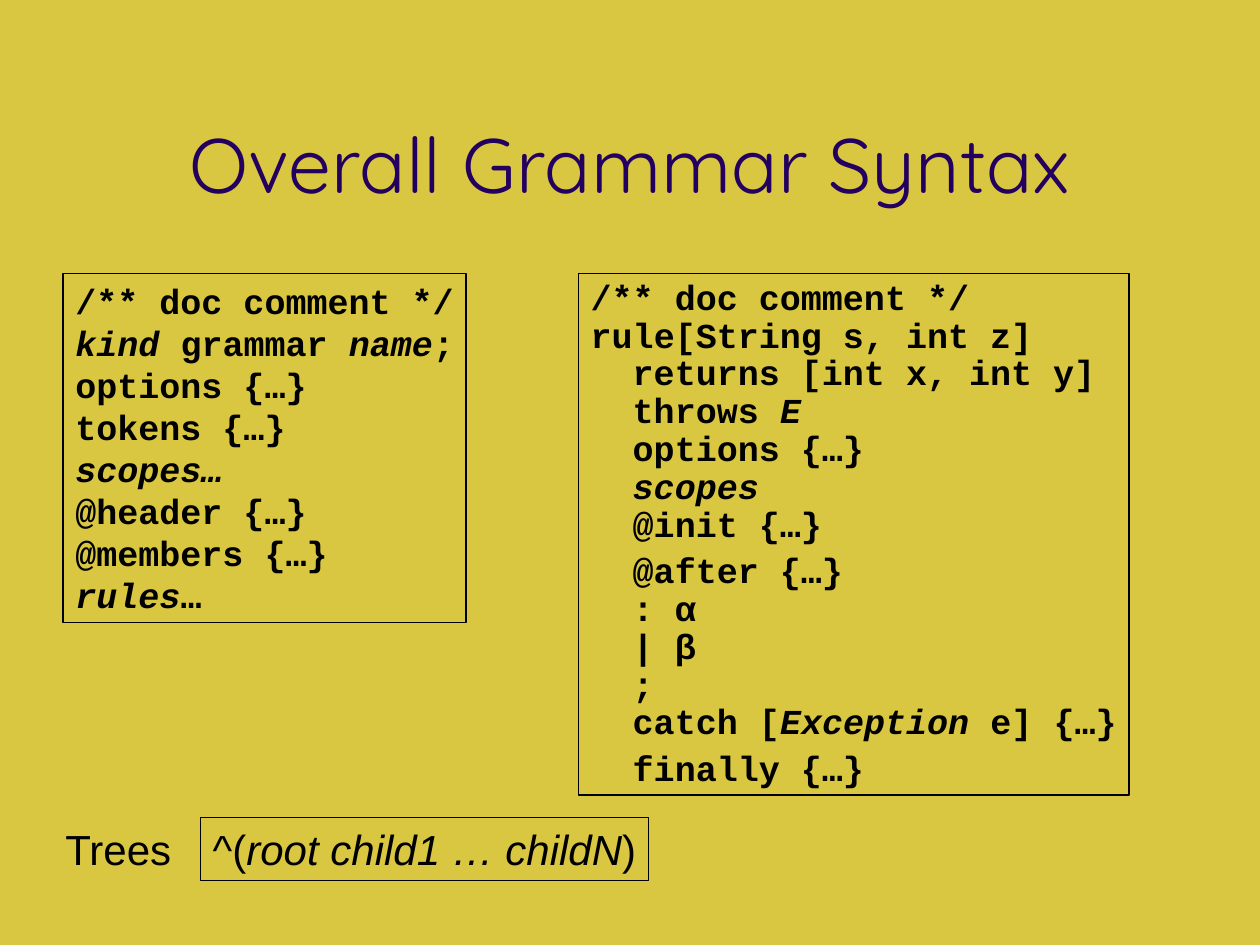
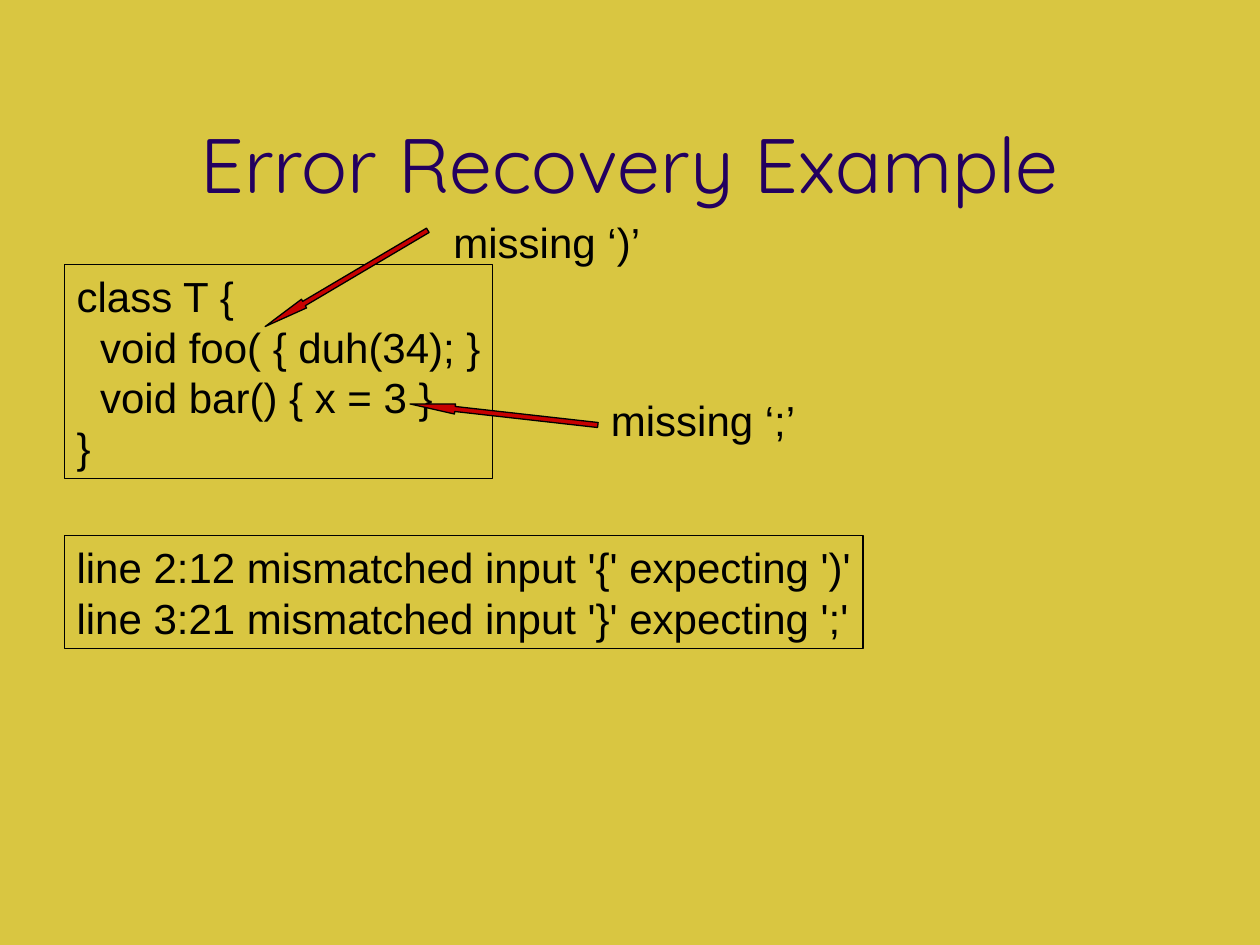
"""Build two slides on grammar syntax and error recovery."""
from dataclasses import dataclass
from itertools import groupby

from pptx import Presentation
from pptx.dml.color import RGBColor
from pptx.enum.shapes import MSO_SHAPE
from pptx.enum.text import MSO_ANCHOR, MSO_AUTO_SIZE, PP_ALIGN
from pptx.util import Inches, Pt


@dataclass(frozen=True)
class Theme:
    background: RGBColor = RGBColor.from_string("D9C641")
    title: RGBColor = RGBColor.from_string("23005F")
    ink: RGBColor = RGBColor.from_string("000000")
    arrow: RGBColor = RGBColor.from_string("C70000")
    title_font: str = "Quicksand"
    body_font: str = "Arial"
    code_font: str = "Courier New"
    title_size: int = 44
    body_size: int = 24
    code_size: int = 20
    line_height: float = 1.2
    line_width: float = 0.75


THEME = Theme()
GREEK = "αβ"
ITALIC_MARK = "_"
BODY = {"name": THEME.body_font, "size": THEME.body_size, "bold": False, "space_width": 0.28}
CODE = {"name": THEME.code_font, "size": THEME.code_size, "bold": True, "space_width": 0.6}

GRAMMAR = ["/** doc comment */", "_kind_ grammar _name_;", "options {…}", "tokens {…}",
           "_scopes…_", "@header {…}", "@members {…}", "_rules_…"]
RULE = ["/** doc comment */", "rule[String s, int z]", "  returns [int x, int y]",
        "  throws _E_", "  options {…}", "  _scopes_", "  @init {…}", "  @after {…}",
        "  : α", "  | β", "  ;", "  catch [_Exception_ e] {…}", "  finally {…}"]
PROGRAM = ["class T {", "  void foo( { duh(34); }", "  void bar() { x = 3 }", "}"]
ERRORS = ["line 2:12 mismatched input '{' expecting ')'",
          "line 3:21 mismatched input '}' expecting ';'"]

SLIDES = [
    {"title": "Overall Grammar Syntax",
     "texts": [
         {"lines": GRAMMAR, "at": (0.5, 2.17, 3.2, 2.77), "style": CODE, "framed": True},
         {"lines": RULE, "at": (4.59, 2.17, 4.37, 4.14), "style": CODE, "framed": True,
          "tightness": 0.9, "gaps": {7: 5, 12: 5}},
         {"lines": ["^(_root child1 … childN_)"], "at": (1.59, 6.49, 3.56, 0.5), "framed": True},
         {"lines": ["Trees"], "at": (0.42, 6.49, 1.05, 0.5)}],
     "arrows": []},
    {"title": "Error Recovery Example",
     "texts": [
         {"lines": PROGRAM, "at": (0.51, 2.1, 3.4, 1.7), "framed": True},
         {"lines": ERRORS, "at": (0.51, 4.25, 6.34, 0.9), "framed": True},
         {"lines": ["missing ‘)’"], "at": (3.5, 1.67, 1.68, 0.5)},
         {"lines": ["missing ‘;’"], "at": (4.75, 3.08, 1.66, 0.5)}],
     "arrows": [{"at": (2, 2.17, 1.5, 0.08), "rotation": 329.4},
                {"at": (3.25, 3.25, 1.5, 0.08), "rotation": 6.4}]},
]


def apply_format(target, values):
    for name, value in values.items():
        setattr(target, name, value)


def inches(at):
    return [Inches(length) for length in at]


def draw_outline(shape):
    shape.line.color.rgb = THEME.ink
    shape.line.width = Pt(THEME.line_width)


def add_runs(paragraph, text, style):
    for position, part in enumerate(text.split(ITALIC_MARK)):
        for is_greek, letters in groupby(part, key=lambda letter: letter in GREEK):
            run = paragraph.add_run()
            run.text = "".join(letters)
            apply_format(run.font, {"name": THEME.body_font if is_greek else style["name"],
                                    "size": Pt(style["size"]), "bold": style["bold"],
                                    "italic": position % 2 == 1})
            run.font.color.rgb = THEME.ink


def add_text(slide, lines, at, style=BODY, framed=False, tightness=1, gaps=None):
    shape = slide.shapes.add_textbox(*inches(at))
    if framed:
        draw_outline(shape)
    frame = shape.text_frame
    apply_format(frame, {"word_wrap": True, "auto_size": MSO_AUTO_SIZE.NONE, "margin_right": 0})
    for index, line in enumerate(lines):
        paragraph = frame.add_paragraph() if index else frame.paragraphs[0]
        code = line.lstrip()
        indent = (len(line) - len(code)) * style["space_width"] * style["size"]
        if indent:
            properties = paragraph._p.get_or_add_pPr()
            properties.set("marL", str(int(Pt(indent))))
            properties.set("indent", "0")
        apply_format(paragraph, {
            "line_spacing": Pt(style["size"] * THEME.line_height * tightness),
            "space_before": Pt((gaps or {}).get(index, 0))})
        add_runs(paragraph, code, style)


def add_arrow(slide, at, rotation):
    shape = slide.shapes.add_shape(MSO_SHAPE.LEFT_ARROW, *inches(at))
    shape.adjustments[0], shape.adjustments[1] = 0.5, 4.49
    shape.rotation = rotation
    shape.shadow.inherit = False
    shape.fill.solid()
    shape.fill.fore_color.rgb = THEME.arrow
    draw_outline(shape)


def set_title(slide, text):
    title = slide.shapes.title
    apply_format(title, dict(zip(("left", "top", "width", "height"),
                                 inches((0.75, 0.67, 8.5, 1.25)))))
    title.text = text
    apply_format(title.text_frame, {"vertical_anchor": MSO_ANCHOR.MIDDLE, "word_wrap": True,
                                    "auto_size": MSO_AUTO_SIZE.NONE})
    paragraph = title.text_frame.paragraphs[0]
    paragraph.alignment = PP_ALIGN.CENTER
    font = paragraph.runs[0].font
    apply_format(font, {"name": THEME.title_font, "size": Pt(THEME.title_size)})
    font.color.rgb = THEME.title


def main():
    presentation = Presentation()
    apply_format(presentation, {"slide_width": Inches(10), "slide_height": Inches(7.5)})
    background = presentation.slide_master.background.fill
    background.solid()
    background.fore_color.rgb = THEME.background
    for content in SLIDES:
        slide = presentation.slides.add_slide(presentation.slide_layouts[5])
        set_title(slide, content["title"])
        for text in content["texts"]:
            add_text(slide, **text)
        for arrow in content["arrows"]:
            add_arrow(slide, **arrow)
    presentation.save("out.pptx")


if __name__ == "__main__":
    main()
